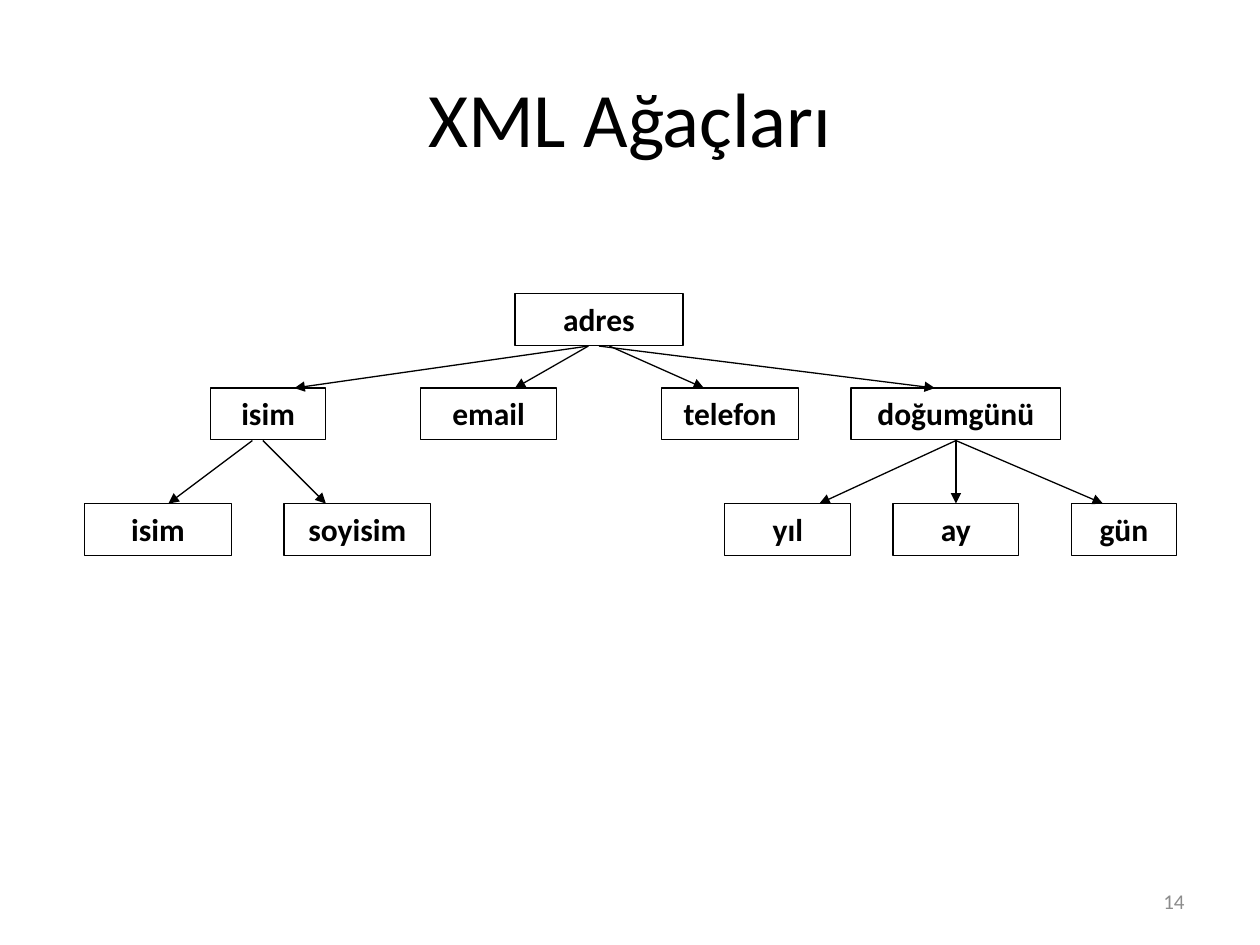
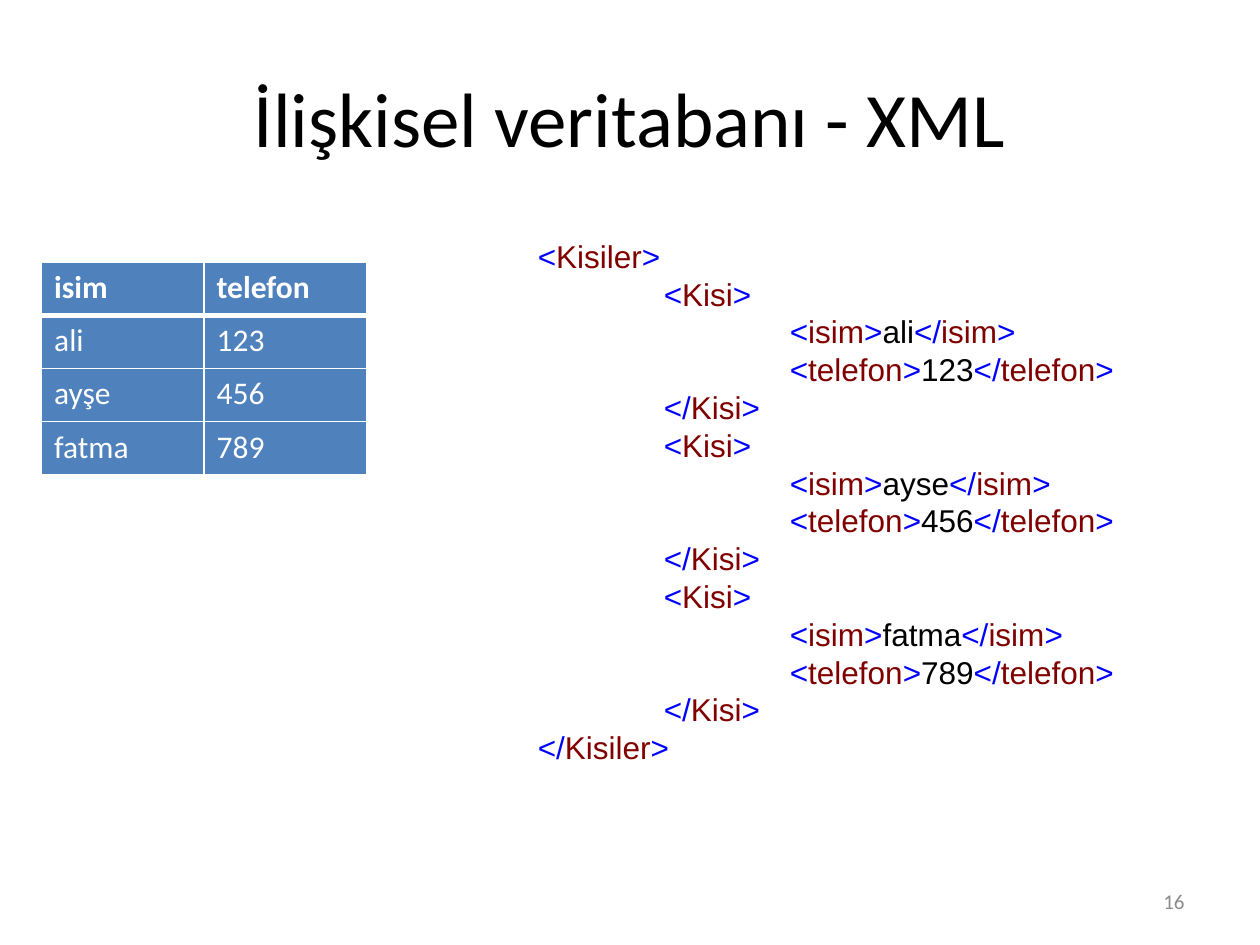
from lxml import etree
from pptx import Presentation
from pptx.dml.color import RGBColor
from pptx.enum.shapes import MSO_CONNECTOR, MSO_SHAPE
from pptx.enum.text import MSO_ANCHOR, MSO_AUTO_SIZE, PP_ALIGN
from pptx.oxml.ns import qn
from pptx.util import Inches, Pt

BLACK = RGBColor(0x00, 0x00, 0x00)
WHITE = RGBColor(0xFF, 0xFF, 0xFF)
GRAY = RGBColor(0x8C, 0x8C, 0x8C)
CELL_BLUE = RGBColor(0x4F, 0x81, 0xBD)
MARK_BLUE = RGBColor(0x00, 0x00, 0xFF)
TAG_RED = RGBColor(0x80, 0x00, 0x00)

LEFT, CENTER, RIGHT = PP_ALIGN.LEFT, PP_ALIGN.CENTER, PP_ALIGN.RIGHT
TOP, MIDDLE = MSO_ANCHOR.TOP, MSO_ANCHOR.MIDDLE
GROW, FIXED = MSO_AUTO_SIZE.SHAPE_TO_FIT_TEXT, MSO_AUTO_SIZE.NONE
RECTANGLE, STRAIGHT = MSO_SHAPE.RECTANGLE, MSO_CONNECTOR.STRAIGHT
TITLE_ONLY = 5

TITLE_FONT = {"name": "Calibri", "size": Pt(44), "color": BLACK}
NODE_FONT = {"name": "Calibri", "size": Pt(18), "bold": True, "color": BLACK}
HEAD_FONT = {**NODE_FONT, "color": WHITE}
CELL_FONT = {**HEAD_FONT, "bold": False}
CODE_FONT = {"name": "Arial", "size": Pt(18)}
NUMBER_FONT = {"name": "Calibri", "size": Pt(12), "color": GRAY}

# Boxes: left, top, width, height in inches
TITLE_BOX = (0.5, 0.3, 9, 1.25)
NUMBER_BOX = (7.17, 6.95, 2.33, 0.4)
TREE_BOX = (0.67, 2.33, 8.67, 2.08)
TABLE_BOX = (0.33, 2.08, 2.58, 1.69)
CODE_BOX = (4.17, 1.83, 5, 4.34)

# Tree measures, in twelfths of an inch from the tree box
UNITS = 12
NODE_HEIGHT = 0.41
NODE_ROWS = [  # top, then label, left and width of each node
    (0, [("adres", 41, 16)]),
    (9, [("isim", 12, 11), ("email", 32, 13), ("telefon", 55, 13),
         ("doğumgünü", 73, 20)]),
    (20, [("isim", 0, 14), ("soyisim", 19, 14), ("yıl", 61, 12),
          ("ay", 77, 12), ("gün", 94, 10)]),
]
ARROW_ROWS = [  # start and end heights, then start and end of each arrow
    (5, 9, [(48, 20), (48, 41), (50, 59), (49, 81)]),
    (14, 20, [(16, 8), (17, 23), (83, 70), (83, 83), (83, 97)]),
]

HEADINGS = ("isim", "telefon")
TABLE_ROWS = [("ali", "123"), ("ayşe", "456"), ("fatma", "789")]
XML_ROWS = [("ali", "123"), ("ayse", "456"), ("fatma", "789")]


def inches(box):
    return [Inches(value) for value in box]


def add_span(para, text, font):
    span = para.add_run()
    span.text = text
    for key, value in font.items():
        if key == "color":
            span.font.color.rgb = value
        else:
            setattr(span.font, key, value)


def set_frame(frame, anchor, auto_size=FIXED):
    values = {"word_wrap": True, "vertical_anchor": anchor,
              "auto_size": auto_size}
    for key, value in values.items():
        setattr(frame, key, value)


def write(frame, text, font, align):
    para = frame.paragraphs[0]
    para.alignment = align
    add_span(para, text, font)


def add_page(deck, title, number):
    page = deck.slides.add_slide(deck.slide_layouts[TITLE_ONLY])
    # Title
    heading = page.shapes.title
    heading.left, heading.top, heading.width, heading.height = inches(TITLE_BOX)
    set_frame(heading.text_frame, MIDDLE)
    write(heading.text_frame, title, TITLE_FONT, CENTER)
    # Page number
    footer = page.shapes.add_textbox(*inches(NUMBER_BOX))
    set_frame(footer.text_frame, MIDDLE)
    write(footer.text_frame, number, NUMBER_FONT, RIGHT)
    return page


def add_node(page, label, box):
    node = page.shapes.add_shape(RECTANGLE, *inches(box))
    node.shadow.inherit = False
    node.fill.background()
    node.line.color.rgb = BLACK
    node.line.width = Pt(0.75)
    set_frame(node.text_frame, TOP, GROW)
    write(node.text_frame, label, NODE_FONT, CENTER)


def add_arrow(page, start, end):
    arrow = page.shapes.add_connector(STRAIGHT, *inches(start + end))
    arrow.line.color.rgb = BLACK
    arrow.line.width = Pt(0.75)
    line = arrow.line._get_or_add_ln()
    etree.SubElement(line, qn("a:tailEnd"), type="triangle")
    etree.SubElement(arrow._element.spPr, qn("a:effectLst"))


def add_tree(page, box):
    left, top = box[:2]

    def point(x, y):
        return (left + x / UNITS, top + y / UNITS)

    for row_top, nodes in NODE_ROWS:
        for label, x, width in nodes:
            add_node(page, label,
                     point(x, row_top) + (width / UNITS, NODE_HEIGHT))
    for start_y, end_y, arrows in ARROW_ROWS:
        for start_x, end_x in arrows:
            add_arrow(page, point(start_x, start_y), point(end_x, end_y))


def set_borders(cell, widths):
    properties = cell._tc.get_or_add_tcPr()
    for index, (side, width) in enumerate(widths.items()):
        line = etree.Element(qn("a:" + side), w=str(Pt(width)))
        fill = etree.SubElement(line, qn("a:solidFill"))
        etree.SubElement(fill, qn("a:srgbClr"), val=str(WHITE))
        properties.insert(index, line)


def add_people_table(page, box):
    rows = [HEADINGS] + TABLE_ROWS
    table = page.shapes.add_table(len(rows), len(HEADINGS), *inches(box)).table
    table.horz_banding = False
    for row_index, values in enumerate(rows):
        for column_index, value in enumerate(values):
            cell = table.cell(row_index, column_index)
            cell.fill.solid()
            cell.fill.fore_color.rgb = CELL_BLUE
            set_borders(cell, {"lnL": 1, "lnR": 1,
                               "lnT": 3 if row_index == 1 else 1,
                               "lnB": 3 if row_index == 0 else 1})
            font = HEAD_FONT if row_index == 0 else CELL_FONT
            write(cell.text_frame, value, font, LEFT)


def opening(name):
    return [("<", MARK_BLUE), (name, TAG_RED), (">", MARK_BLUE)]


def closing(name):
    return [("</", MARK_BLUE), (name, TAG_RED), (">", MARK_BLUE)]


def xml_lines():
    """Yield the depth and the coloured pieces of each line."""
    yield 0, opening("Kisiler")
    for values in XML_ROWS:
        yield 1, opening("Kisi")
        for name, value in zip(HEADINGS, values):
            yield 2, opening(name) + [(value, BLACK)] + closing(name)
        yield 1, closing("Kisi")
    yield 0, closing("Kisiler")


def add_code(page, box):
    frame = page.shapes.add_textbox(*inches(box)).text_frame
    set_frame(frame, TOP, GROW)
    for index, (depth, pieces) in enumerate(xml_lines()):
        para = frame.add_paragraph() if index else frame.paragraphs[0]
        para.alignment = LEFT
        para._p.get_or_add_pPr().set("marL", str(Inches(depth)))
        for text, color in pieces:
            add_span(para, text, {**CODE_FONT, "color": color})


def main():
    deck = Presentation()
    deck.slide_width, deck.slide_height = Inches(10), Inches(7.5)

    # XML tree
    page = add_page(deck, "XML Ağaçları", "14")
    add_tree(page, TREE_BOX)

    # Table beside its XML form
    page = add_page(deck, "İlişkisel veritabanı - XML", "16")
    add_people_table(page, TABLE_BOX)
    add_code(page, CODE_BOX)

    deck.save("out.pptx")


main()
